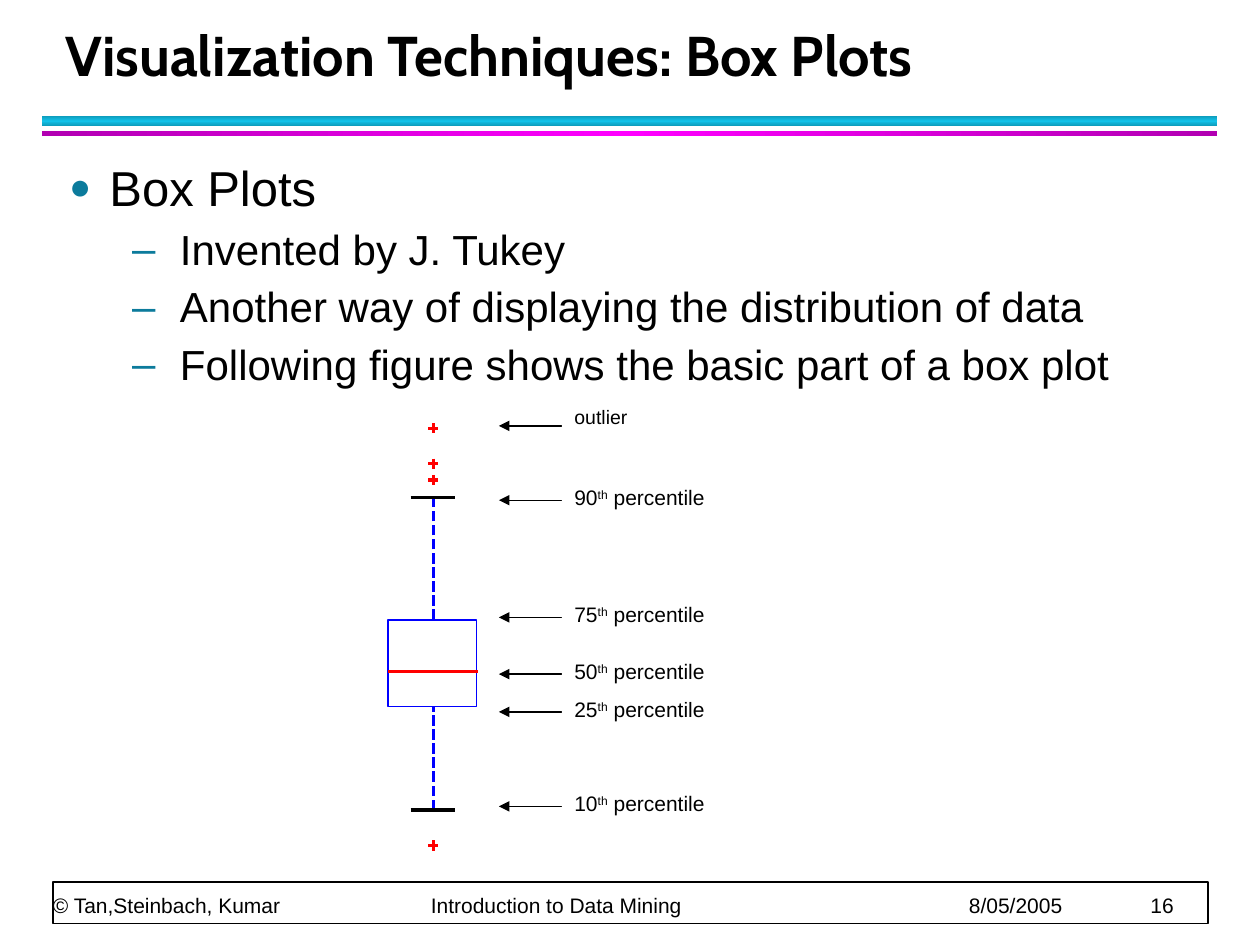
from copy import deepcopy
from dataclasses import dataclass

from lxml.etree import SubElement as Sub
from pptx import Presentation
from pptx.dml.color import RGBColor as Rgb
from pptx.enum.dml import MSO_LINE_DASH_STYLE as Dash
from pptx.enum.shapes import MSO_CONNECTOR as Link, MSO_SHAPE as Kind
from pptx.enum.text import MSO_ANCHOR as Anchor, PP_ALIGN as Align
from pptx.oxml.ns import qn
from pptx.util import Inches, Pt


@dataclass(frozen=True)
class Theme:
    font: str = "Arial"
    head: str = "Cabin"
    ink: str = "000000"
    paper: str = "FFFFFF"
    mark: str = "0C7B9C"
    blue: str = "0000FF"
    red: str = "FF0000"
    cyan: tuple = ("0E9BBA", "12C2E9", "0E9BBA")
    pink: tuple = ("B200B2", "FF00FF", "B200B2")
    title: float = 32
    main: float = 28
    sub: float = 24
    note: float = 12
    small: float = 11.1


class Deck:
    def __init__(self, theme):
        self.theme = theme
        self.file = Presentation()
        self.file.slide_width = Inches(10)
        self.file.slide_height = Inches(7.5)
        self.slide = self.file.slides.add_slide(self.file.slide_layouts[5])
        self.shapes = self.slide.shapes

    def run(self, para, text, size, font=None, bold=False, base=0):
        run = para.add_run()
        run.text = text
        run.font.size = Pt(size)
        run.font.name = font or self.theme.font
        run.font.bold = bold
        run.font.color.rgb = Rgb.from_string(self.theme.ink)
        if base:
            run._r.get_or_add_rPr().set("baseline", str(base * 1000))

    def space(self, para, line, before=0, after=0):
        para.line_spacing = line
        para.space_before = Pt(before)
        para.space_after = Pt(after)

    def title(self, box, text):
        shape = self.shapes.title
        shape.left, shape.top, shape.width, shape.height = map(Inches, box)
        frame = shape.text_frame
        frame.vertical_anchor = Anchor.BOTTOM
        para = frame.paragraphs[0]
        para.alignment = Align.LEFT
        self.space(para, Pt(36))
        self.run(para, text, self.theme.title, self.theme.head, True)

    def text(self, box):
        shape = self.shapes.add_textbox(*map(Inches, box))
        shape.text_frame.word_wrap = True
        return shape

    def rect(self, box, fill=None, line=None, width=0):
        shape = self.shapes.add_shape(Kind.RECTANGLE, *map(Inches, box))
        shape.shadow.inherit = False
        if fill:
            shape.fill.solid()
            shape.fill.fore_color.rgb = Rgb.from_string(fill)
        else:
            shape.fill.background()
        if line:
            shape.line.color.rgb = Rgb.from_string(line)
            shape.line.width = Pt(width)
        else:
            shape.line.fill.background()
        return shape

    def band(self, box, hues, angle):
        fill = self.rect(box).fill
        fill.gradient()
        fill.gradient_angle = angle
        last = fill.gradient_stops[-1]._gs
        last.addnext(deepcopy(last))
        for stop, hue, pos in zip(fill.gradient_stops, hues, (0, 0.5, 1)):
            stop.color.rgb = Rgb.from_string(hue)
            stop.position = pos

    def line(self, start, end, color, width=0, dash=None, arrow=False):
        ends = map(Inches, (*start, *end))
        link = self.shapes.add_connector(Link.STRAIGHT, *ends)
        link.line.color.rgb = Rgb.from_string(color)
        link.line.width = Pt(width)
        if dash:
            link.line.dash_style = dash
        if arrow:
            Sub(link.line._ln, qn("a:headEnd"), type="triangle")
        Sub(link._element.spPr, qn("a:effectLst"))

    def plus(self, x, y, arm=0.04):
        self.line((x - arm, y), (x + arm, y), self.theme.red)
        self.line((x, y - arm), (x, y + arm), self.theme.red)

    def point(self, y):
        self.line((3.96, y), (4.46, y), self.theme.ink, 0.75, arrow=True)

    def label(self, box, parts, size, gap):
        shape = self.text(box)
        shape.fill.solid()
        shape.fill.fore_color.rgb = Rgb.from_string(self.theme.paper)
        para = shape.text_frame.paragraphs[0]
        self.space(para, gap, after=4)
        for text, base in parts:
            self.run(para, text, size, base=base)

    def bullets(self, box, items):
        frame = self.text(box).text_frame
        for i, (level, text) in enumerate(items):
            para = frame.add_paragraph() if i else frame.paragraphs[0]
            para.level = level
            size, left, hang, sign, scale, before = (
                (self.theme.sub, 0.88, 0.38, "–", 100, 3) if level
                else (self.theme.main, 0.32, 0.32, "●", 75, 3.5))
            self.space(para, 0.9, before, 4)
            props = para._p.get_or_add_pPr()
            props.set("marL", str(Inches(left)))
            props.set("indent", str(-Inches(hang)))
            tint = Sub(props, qn("a:buClr"))
            Sub(tint, qn("a:srgbClr"), val=self.theme.mark)
            Sub(props, qn("a:buSzPct"), val=str(scale * 1000))
            Sub(props, qn("a:buFont"), typeface=self.theme.font)
            Sub(props, qn("a:buChar"), char=sign)
            self.run(para, text, size)

    def footer(self, box, parts, stops):
        frame = self.text(box).text_frame
        frame.margin_left = frame.margin_right = 0
        frame.margin_top = frame.margin_bottom = 0
        frame.vertical_anchor = Anchor.BOTTOM
        para = frame.paragraphs[0]
        self.space(para, Pt(20))
        tabs = Sub(para._p.get_or_add_pPr(), qn("a:tabLst"))
        for stop in stops:
            Sub(tabs, qn("a:tab"), pos=str(Inches(stop)), algn="l")
        for i, part in enumerate(parts):
            self.run(para, "\t" + part if i else part, self.theme.note)


def main():
    theme = Theme()
    deck = Deck(theme)
    deck.band((0.33, 0.92, 9.33, 0.08), theme.cyan, 270)
    deck.band((0.33, 1.04, 9.33, 0.04), theme.pink, 0)
    deck.rect((0.42, 7, 9.17, 0.33), theme.paper, theme.ink, 1)
    deck.footer((0.42, 6.72, 9.15, 0.56),
                ("© Tan,Steinbach, Kumar", "Introduction to Data Mining",
                 "8/05/2005", "16"), (3, 7.27, 8.71))
    deck.title((0.42, 0.17, 9.06, 0.58),
               "Visualization Techniques: Box Plots")
    deck.bullets((0.45, 1.25, 9.22, 2), (
        (0, "Box Plots"),
        (1, "Invented by J. Tukey"),
        (1, "Another way of displaying the distribution of data"),
        (1, "Following figure shows the basic part of a box plot")))

    mid, low, high = 3.44, 6.43, 3.95
    for start, end in ((4.92, high), (low, 5.61)):
        deck.line((mid, start), (mid, end), theme.blue, dash=Dash.SQUARE_DOT)
    for y in (low, high):
        deck.line((3.26, y), (3.61, y), theme.ink)
    deck.rect((3.08, 4.92, 0.7, 0.69), line=theme.blue)
    deck.line((3.08, 5.33), (3.79, 5.33), theme.red)
    for y in (3.4, 3.81, 3.68, 6.71):
        deck.plus(mid, y)

    deck.point(3.38)
    deck.label((4.46, 3.22, 0.75, 0.25), (("outlier", 0),), theme.small, 0.7)
    ranks = ((10, 6.4), (25, 5.65), (75, 4.9), (50, 5.35), (90, 3.97))
    for rank, y in ranks:
        deck.point(y)
        deck.label((4.46, y - 0.15, 1.37, 0.37),
                   ((str(rank), 0), ("th", 30), (" percentile", 0)),
                   theme.note, 0.9)
    deck.file.save("out.pptx")


if __name__ == "__main__":
    main()
